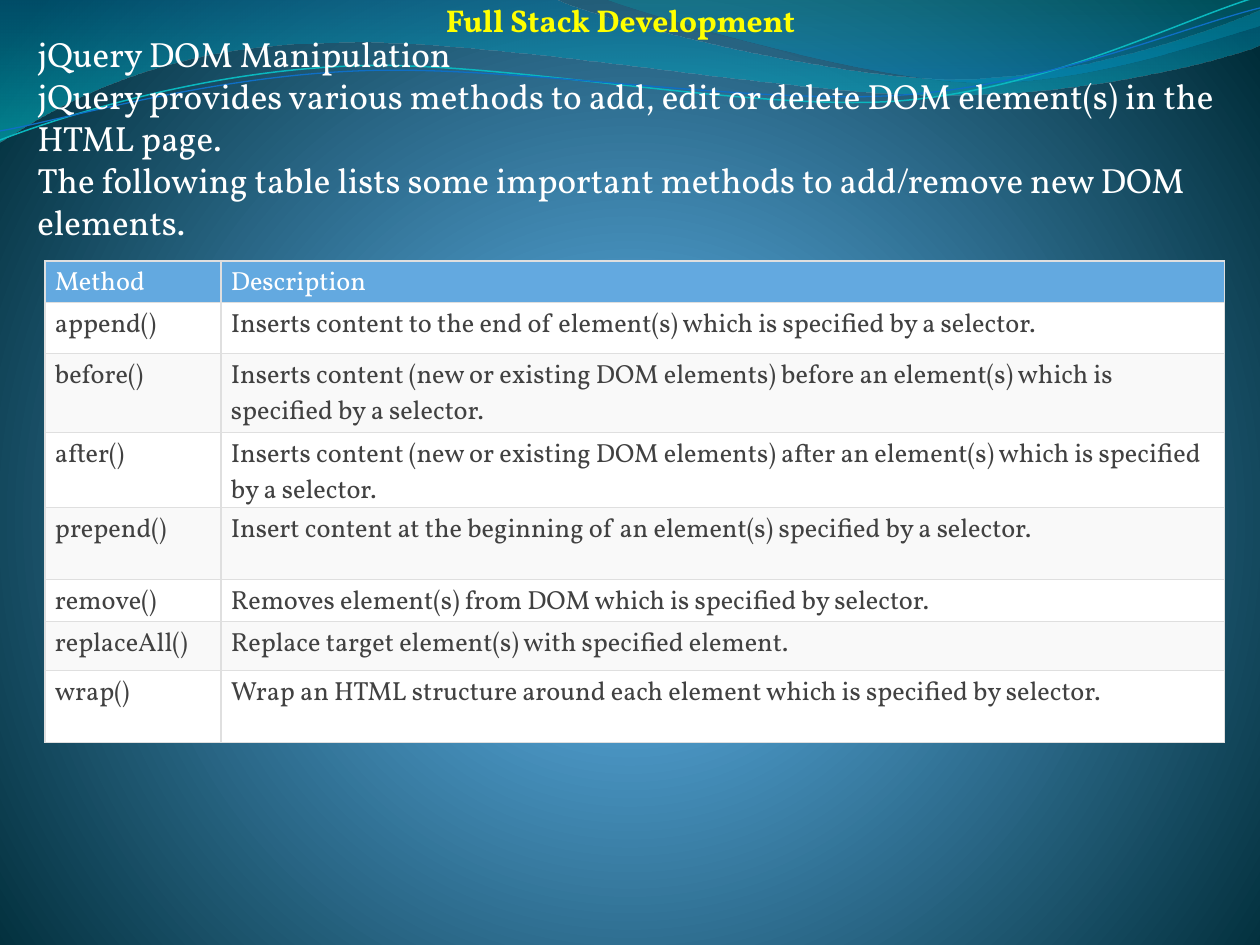
from pptx import Presentation
from pptx.dml.color import RGBColor as RGB
from pptx.enum.text import MSO_ANCHOR as Anchor, PP_ALIGN as Align
from pptx.oxml import parse_xml
from pptx.oxml.ns import nsdecls
from pptx.util import Emu, Pt

EMU_PER_PX = 914400 / 126
FONT_NAME = "Vollkorn"

WHITE = RGB(0xFF, 0xFF, 0xFF)
YELLOW = RGB(0xFF, 0xFF, 0x00)
TEXT_GREY = RGB(0x41, 0x41, 0x41)
BAND_GREY = RGB(0xF9, 0xF9, 0xF9)
BORDER_GREY = RGB(0xDF, 0xDF, 0xDF)
HEADER_BLUE = RGB(0x63, 0xA9, 0xE0)
SKY = RGB(0x4A, 0xA0, 0xD6)
STEEL = RGB(0x4C, 0x98, 0xC7)
DEEP_TEAL = RGB(0x00, 0x2C, 0x38)
OCEAN = RGB(0x00, 0x74, 0xA1)
CYAN = RGB(0x00, 0xC6, 0xCF)
TEAL = RGB(0x00, 0xA1, 0xA9)
AZURE = RGB(0x00, 0x8B, 0xBF)
LINE_CYAN = RGB(0x0A, 0xB8, 0xBF)
LINE_BLUE = RGB(0x0F, 0x6F, 0xC6)

DOWNWARD = '<a:lin ang="5400000" scaled="0"/>'
RADIAL = ('<a:path path="circle"><a:fillToRect l="10000" t="110000" '
          'r="10000" b="100000"/></a:path>')

WAVE_BANDS = [
    ([(0, 0)], [(554, -1)],
     [(600, 21), (837, 79), (955, 79)], [(1074, 79), (1207, 33), (1260, 11)],
     [(1261, 45)], [(1239, 55), (1096, 96), (940, 95)],
     [(784, 95), (481, 35), (324, 43)], [(161, 45), (58, 105), (-1, 142)]),
    ([(604, -1)], [(642, 14), (859, 78), (969, 82)],
     [(1079, 87), (1211, 40), (1260, 26)], [(1260, 0)]),
]
BAND_STOPS = [
    [(0, OCEAN, 45), (100, CYAN, 55)],
    [(0, TEAL, 30), (80, AZURE, 45)],
]
WAVE_LINES = [
    ([(0, 140)], [(60, 117), (199, 72), (349, 66)],
     [(498, 59), (747, 112), (898, 101)], [(1049, 89), (1182, 19), (1257, -3)]),
    ([(0, 131)], [(59, 121), (207, 77), (357, 71)],
     [(508, 64), (752, 106), (903, 95)], [(1053, 84), (1186, 26), (1260, 8)]),
]
LINE_STYLES = [(LINE_CYAN, 0.85), (LINE_BLUE, 0.75)]

TITLE = ["Full Stack Development"]
INTRODUCTION = [
    "jQuery DOM Manipulation",
    "jQuery provides various methods to add, edit or delete DOM element(s) in the HTML page.",
    "The following table lists some important methods to add/remove new DOM elements.",
]
METHODS = [
    ("Method", "Description"),
    ("append()", "Inserts content to the end of element(s) which is specified by a selector."),
    ("before()", "Inserts content (new or existing DOM elements) before an element(s) "
                 "which is specified by a selector."),
    ("after()", "Inserts content (new or existing DOM elements) after an element(s) "
                "which is specified by a selector."),
    ("prepend()", "Insert content at the beginning of an element(s) specified by a selector."),
    ("remove()", "Removes element(s) from DOM which is specified by selector."),
    ("replaceAll()", "Replace target element(s) with specified element."),
    ("wrap()", "Wrap an HTML structure around each element which is specified by selector."),
]
COLUMN_WIDTHS = [176, 1004]
ROW_HEIGHTS = [41, 51, 79, 75, 72, 42, 49, 72]


def px(length):
    """Turn a length in px into EMU."""
    return Emu(round(length * EMU_PER_PX))


def set_attributes(target, values):
    """Set each named format value on the target."""
    for name, value in values.items():
        setattr(target, name, value)


def set_gradient(fill, element, stops, direction):
    """Fill the element with a gradient of (position, colour, opacity) stops."""
    fill.solid()
    solid = element.xpath(".//a:solidFill")[0]
    stop_xml = "".join(
        f'<a:gs pos="{position * 1000}"><a:srgbClr val="{colour}">'
        f'<a:alpha val="{opacity * 1000}"/></a:srgbClr></a:gs>'
        for position, colour, opacity in stops)
    gradient = parse_xml(f'<a:gradFill {nsdecls("a")} rotWithShape="1">'
                         f'<a:gsLst>{stop_xml}</a:gsLst>{direction}</a:gradFill>')
    solid.getparent().replace(solid, gradient)


def bend_segments(shape, segments):
    """Join the steps of each three-point segment into one cubic curve."""
    steps = iter(shape._element.xpath(".//a:lnTo"))
    for segment in segments:
        first, *others = [next(steps) for _ in segment]
        if others:
            curve = parse_xml(f'<a:cubicBezTo {nsdecls("a")}/>')
            first.addprevious(curve)
            for step in (first, *others):
                curve.append(step[0])
                step.getparent().remove(step)


def add_wave(slide, left, top, segments, close):
    """Add one wave outline relative to the given corner."""
    start, *points = [point for segment in segments for point in segment]
    builder = slide.shapes.build_freeform(*start, scale=EMU_PER_PX)
    builder.add_line_segments(points, close=close)
    shape = builder.convert_to_shape(px(left), px(top))
    bend_segments(shape, segments[1:])
    shape.shadow.inherit = False
    return shape


def draw_waves(slide, left, top):
    """Draw the translucent bands and the thin lines over them."""
    for segments, stops in zip(WAVE_BANDS, BAND_STOPS):
        shape = add_wave(slide, left, top, segments, True)
        set_gradient(shape.fill, shape._element, stops, DOWNWARD)
        shape.line.fill.background()
    for segments, (colour, width) in zip(WAVE_LINES, LINE_STYLES):
        shape = add_wave(slide, left, top, segments, False)
        shape.fill.background()
        shape.line.color.rgb = colour
        shape.line.width = Pt(width)


def write_paragraph(paragraph, text, colour, font_values):
    """Write one formatted run into the paragraph."""
    run = paragraph.add_run()
    run.text = text
    run.font.color.rgb = colour
    set_attributes(run.font, {"name": FONT_NAME, **font_values})


def draw_text(slide, box, lines, colour, font_values, alignment):
    """Place a wrapped text box with one paragraph for each line."""
    frame = slide.shapes.add_textbox(*map(px, box)).text_frame
    frame.word_wrap = True
    for index, line in enumerate(lines):
        paragraph = frame.add_paragraph() if index else frame.paragraphs[0]
        paragraph.alignment = alignment
        write_paragraph(paragraph, line, colour, font_values)


def add_borders(cell):
    """Draw a thin border on the four sides of the cell."""
    properties = cell._tc.get_or_add_tcPr()
    for index, side in enumerate(("lnL", "lnR", "lnT", "lnB")):
        properties.insert(index, parse_xml(
            f'<a:{side} {nsdecls("a")} w="{Pt(0.75)}"><a:solidFill>'
            f'<a:srgbClr val="{BORDER_GREY}"/></a:solidFill></a:{side}>'))


def draw_table(slide, left, top):
    """Draw the table of methods from its top left corner."""
    size = sum(COLUMN_WIDTHS), sum(ROW_HEIGHTS)
    table = slide.shapes.add_table(len(METHODS), len(COLUMN_WIDTHS),
                                   *map(px, (left, top, *size))).table
    set_attributes(table, {"first_row": False, "horz_banding": False})
    for column, width in zip(table.columns, COLUMN_WIDTHS):
        column.width = px(width)
    for index, (row, height) in enumerate(zip(table.rows, ROW_HEIGHTS)):
        row.height = px(height)
        header = index == 0
        band = HEADER_BLUE if header else WHITE if index % 2 else BAND_GREY
        for cell, text in zip(row.cells, METHODS[index]):
            set_attributes(cell, {
                "margin_left": px(10), "margin_right": px(10),
                "margin_top": px(5), "margin_bottom": px(5 if header else 0),
                "vertical_anchor": Anchor.BOTTOM if header else Anchor.TOP})
            cell.fill.solid()
            cell.fill.fore_color.rgb = band
            add_borders(cell)
            write_paragraph(cell.text_frame.paragraphs[0], text,
                            WHITE if header else TEXT_GREY, {"size": Pt(15)})


def main():
    """Build the slide and save it."""
    presentation = Presentation()
    set_attributes(presentation, {"slide_width": px(1260), "slide_height": px(945)})
    slide = presentation.slides.add_slide(presentation.slide_layouts[6])
    set_gradient(slide.background.fill, slide._element,
                 [(0, SKY, 100), (25, STEEL, 100), (100, DEEP_TEAL, 100)], RADIAL)
    draw_waves(slide, 0, 0)
    draw_text(slide, (227, -5, 787, 50), TITLE, YELLOW,
              {"size": Pt(18), "bold": True}, Align.CENTER)
    draw_text(slide, (25, 26, 1221, 267), INTRODUCTION, WHITE,
              {"size": Pt(20)}, Align.LEFT)
    draw_table(slide, 45, 261)
    presentation.save("out.pptx")


if __name__ == "__main__":
    main()
